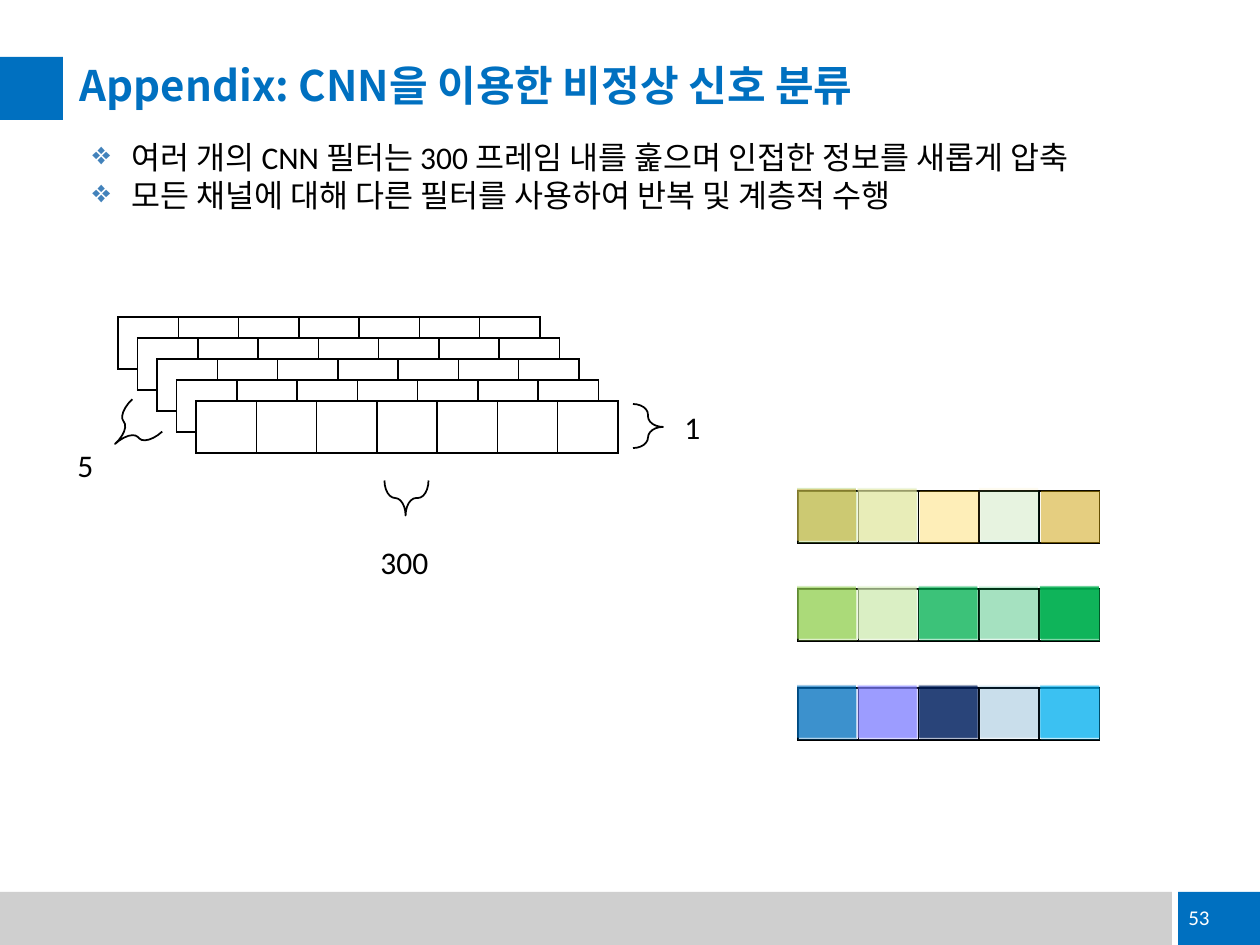
from lxml.etree import SubElement
from pptx import Presentation
from pptx.dml.color import RGBColor
from pptx.enum.shapes import MSO_SHAPE
from pptx.enum.text import MSO_ANCHOR, PP_ALIGN
from pptx.oxml.ns import qn
from pptx.util import Emu, Pt

BLUE, GRAY, BLACK, WHITE = "0070C0", "CFCFCF", "000000", "FFFFFF"
LATIN, KOREAN = "Calibri", "Noto Sans CJK KR"

TITLE = "Appendix: CNN을 이용한 비정상 신호 분류"
BULLETS = [
    "여러 개의 CNN 필터는 300 프레임 내를 훑으며 인접한 정보를 새롭게 압축",
    "모든 채널에 대해 다른 필터를 사용하여 반복 및 계층적 수행",
]
PAGE_NUMBER = "53"
BARS = [((0, 892, 1172, 53), GRAY), ((1178, 892, 82, 53), BLUE), ((0, 57, 63, 63), BLUE)]
LABELS = [("5", (30, 440, 111, 50)), ("1", (672, 402, 39, 50)), ("300", (349, 537, 111, 50))]
BRACES = [((389, 476, 35, 44), 270, 0.65), ((110, 408, 43, 44), 317.3, 0.63),
          ((633, 404, 30, 44), 180, 0.63)]

CHANNELS, FRAME_CELLS = 5, 7
FIRST_CHANNEL, CHANNEL_STEP = (118, 317), (19.5, 21)
CELL_WIDTH, CELL_HEIGHT = 60.3, 52

STRIP_LEFT, STRIP_CELLS = 798, 5
TINT_WIDTH, TINT_STEP = 59, 60.75
TINT_SHIFTS = [(0, 0), (-1, -3), (-1, -2), (-1, -2), (0, -2)]
STRIPS = [
    (491, [
        (["92D050"] * 3 + ["FF973B"], 30),
        (["D0EBB3"] * 3 + ["FDE48B"], 30),
        (["FCC917"], 30),
        (["00B050", "FDDF74"], 10),
        (["CC9F03"], 50),
    ]),
    (589, [
        (["92D050"] * 4, 30),
        (["D0EBB3"] * 4, 30),
        (["00B050"] * 4, 30),
        (["00B050"] * 4, 10),
        (["00B050"] * 4, 50),
    ]),
    (688, [
        (["0070C0"] * 4, 30),
        (["7F7FFF"] * 5, 25),
        (["002060"] * 5, 30),
        (["1F77B4"] * 5, 5),
        (["00B0F0"] * 5, 25),
    ]),
]


def px(length):
    return Emu(round(length * 914400 / 126))


def color(value):
    return RGBColor.from_string(value)


def add_block(slide, box, fill, opacity=100):
    shape = slide.shapes.add_shape(MSO_SHAPE.RECTANGLE, *map(px, box))
    shape.shadow.inherit = False
    shape.line.fill.background()
    shape.fill.solid()
    shape.fill.fore_color.rgb = color(fill)
    if opacity < 100:
        tint = shape.fill._xPr.find(qn("a:solidFill"))[0]
        SubElement(tint, qn("a:alpha"), val=str(opacity * 1000))


def add_brace(slide, box, rotation, curve):
    shape = slide.shapes.add_shape(MSO_SHAPE.LEFT_BRACE, *map(px, box))
    shape.shadow.inherit = False
    shape.rotation = rotation
    shape.adjustments[0], shape.adjustments[1] = curve, 0.48
    shape.fill.background()
    shape.line.color.rgb = color(BLACK)
    shape.line.width = Pt(1)


def add_text(slide, box, text, size=18, fill=BLACK, font=LATIN, align=PP_ALIGN.LEFT,
             bold=False, wrap=True):
    text_frame = slide.shapes.add_textbox(*map(px, box)).text_frame
    text_frame.word_wrap = wrap
    text_frame.text = text
    for paragraph in text_frame.paragraphs:
        paragraph.alignment = align
        for run in paragraph.runs:
            run.font.size, run.font.bold, run.font.name = Pt(size), bold, font
            run.font.color.rgb = color(fill)
            SubElement(run.font._element, qn("a:ea"), typeface=font)
    return text_frame


def add_bullets(text_frame):
    for paragraph in text_frame.paragraphs:
        properties = paragraph._p.get_or_add_pPr()
        properties.set("marL", str(px(39)))
        properties.set("indent", str(-px(39)))
        bullet_color = SubElement(properties, qn("a:buClr"))
        SubElement(bullet_color, qn("a:srgbClr"), val="4282BB")
        SubElement(properties, qn("a:buChar"), char="❖")


def add_cell_row(slide, left, top, count):
    box = (left, top, CELL_WIDTH * count, CELL_HEIGHT)
    table = slide.shapes.add_table(1, count, *map(px, box)).table
    table.first_row = table.horz_banding = False
    for cell in table.iter_cells():
        cell.margin_top = cell.margin_bottom = 0
        for side in ("lnL", "lnR", "lnT", "lnB"):
            border = SubElement(cell._tc.get_or_add_tcPr(), qn(f"a:{side}"), w=str(Pt(1)))
            SubElement(SubElement(border, qn("a:solidFill")), qn("a:srgbClr"), val=BLACK)
        cell.fill.solid()
        cell.fill.fore_color.rgb = color(WHITE)


def add_strip(slide, top, cells):
    add_cell_row(slide, STRIP_LEFT, top, STRIP_CELLS)
    for index, (tints, opacity) in enumerate(cells):
        left = STRIP_LEFT + index * TINT_STEP
        for tint, (shift_x, shift_y) in zip(tints, TINT_SHIFTS):
            box = (left + shift_x, top + shift_y, TINT_WIDTH, CELL_HEIGHT)
            add_block(slide, box, tint, opacity)


def main():
    """Build the slide on convolution filters over signal frames."""
    presentation = Presentation()
    presentation.slide_width, presentation.slide_height = px(1260), px(945)
    slide = presentation.slides.add_slide(presentation.slide_layouts[6])

    for box, fill in BARS:
        add_block(slide, box, fill)
    title = add_text(slide, (80, 64, 1135, 48), TITLE, 24, BLUE, KOREAN, bold=True)
    title.margin_left = title.margin_right = title.margin_top = title.margin_bottom = 0
    title.vertical_anchor = MSO_ANCHOR.MIDDLE
    title.paragraphs[0].line_spacing = 0.9
    add_bullets(add_text(slide, (80, 132, 1135, 89), "\n".join(BULLETS)))

    for channel in range(CHANNELS):
        left, top = (start + channel * step for start, step in zip(FIRST_CHANNEL, CHANNEL_STEP))
        add_cell_row(slide, left, top, FRAME_CELLS)
    for brace in BRACES:
        add_brace(slide, *brace)
    for text, box in LABELS:
        add_text(slide, box, text, align=PP_ALIGN.CENTER, wrap=False)
    for top, cells in STRIPS:
        add_strip(slide, top, cells)

    number = add_text(slide, (939, 892, 283, 50), PAGE_NUMBER, 12, WHITE, align=PP_ALIGN.RIGHT)
    number.vertical_anchor = MSO_ANCHOR.MIDDLE
    presentation.save("out.pptx")


if __name__ == "__main__":
    main()
